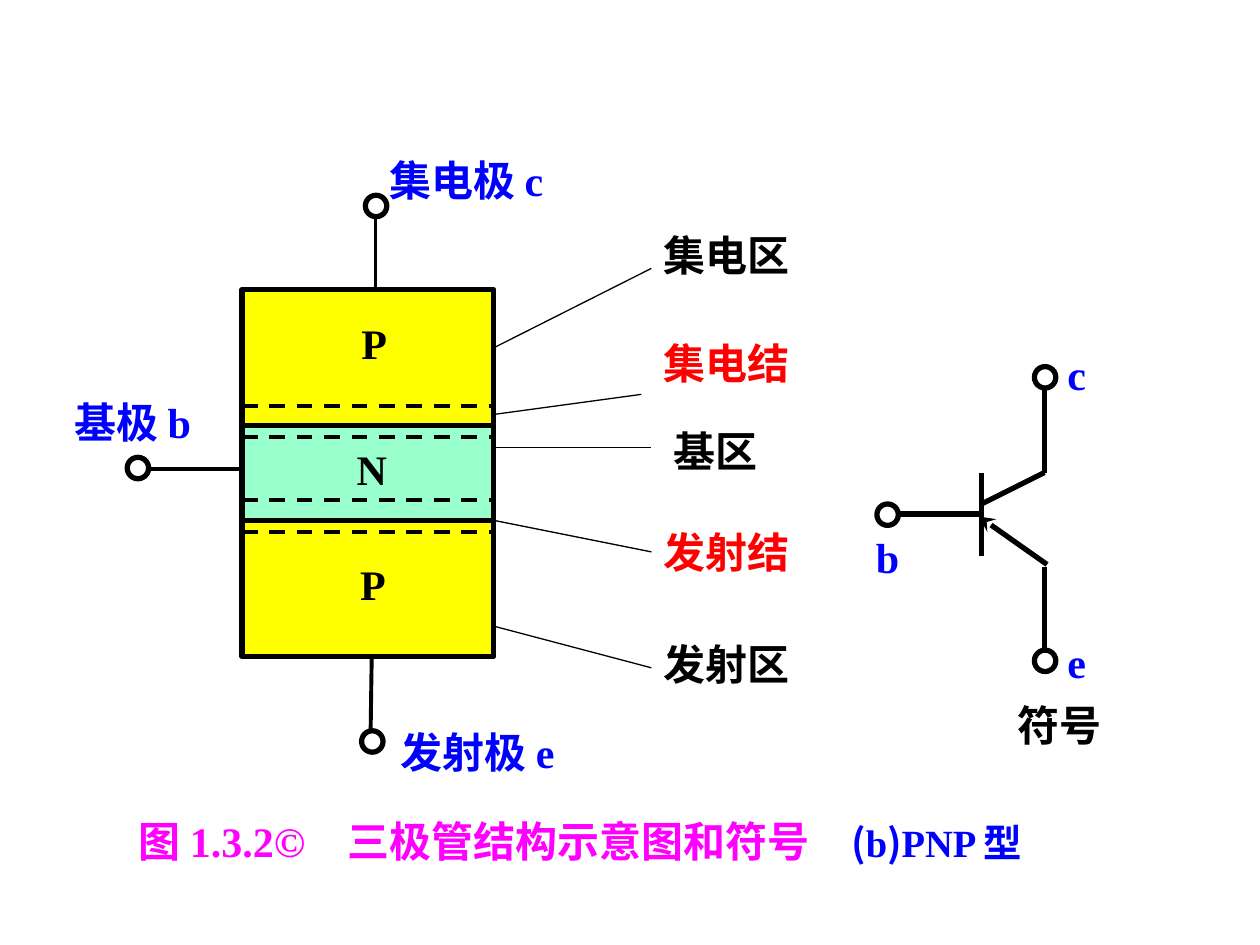
"""Builds a slide with the structure and the symbol of a PNP transistor."""
from lxml import etree
from pptx import Presentation
from pptx.dml.color import RGBColor
from pptx.enum.dml import MSO_LINE
from pptx.enum.shapes import MSO_CONNECTOR, MSO_SHAPE
from pptx.enum.text import MSO_ANCHOR, PP_ALIGN
from pptx.oxml.ns import qn
from pptx.util import Inches, Pt

STRAIGHT = MSO_CONNECTOR.STRAIGHT
DASH = MSO_LINE.DASH
RECTANGLE, OVAL = MSO_SHAPE.RECTANGLE, MSO_SHAPE.OVAL
MIDDLE, TOP = MSO_ANCHOR.MIDDLE, MSO_ANCHOR.TOP
LEFT, CENTER = PP_ALIGN.LEFT, PP_ALIGN.CENTER
SERIF, SANS = "Times New Roman", "Noto Sans CJK SC"
COLORS = {
    "black": "000000", "white": "FFFFFF", "red": "FF0000", "blue": "0000FF",
    "magenta": "FF00FF", "yellow": "FFFF00", "green": "99FFCC",
}

presentation = Presentation()
presentation.slide_width, presentation.slide_height = Inches(10), Inches(7.5)
slide = presentation.slides.add_slide(presentation.slide_layouts[6])


def add_line(start, end, width, dash=None):
    points = [Inches(value) for value in (*start, *end)]
    connector = slide.shapes.add_connector(STRAIGHT, *points)
    connector.line.color.rgb = RGBColor.from_string(COLORS["black"])
    connector.line.width = Pt(width)
    connector.line.dash_style = dash
    etree.SubElement(connector._element.spPr, qn("a:effectLst"))
    return connector


def add_text(box, runs, alignment=LEFT, anchor=MIDDLE, wrap=True):
    shape = slide.shapes.add_textbox(*[Inches(value) for value in box])
    shape.text_frame.word_wrap = wrap
    shape.text_frame.vertical_anchor = anchor
    paragraph = shape.text_frame.paragraphs[0]
    paragraph.alignment = alignment
    for text, color, size, name in runs:
        run = paragraph.add_run()
        run.text = text
        font_format = {"size": Pt(size), "name": name, "bold": True}
        for attribute, value in font_format.items():
            setattr(run.font, attribute, value)
        run.font.color.rgb = RGBColor.from_string(COLORS[color])


leader_lines = [
    ((3.84, 2.8), (5.17, 2.13)),
    ((3.84, 3.3), (5.09, 3.13)),
    ((3.84, 3.55), (5.17, 3.55)),
    ((3.92, 4.13), (5.17, 4.38)),
    ((3.92, 4.97), (5.17, 5.3)),
]
symbol_lines = [
    ((7.79, 3.75), (7.79, 4.41)),
    ((7.79, 4), (8.29, 3.75)),
    ((8.29, 3.75), (8.29, 3)),
    ((8.29, 4.5), (8.29, 5.17)),
    ((7.79, 4.08), (7.12, 4.08)),
]
structure_leads = [
    ((2.95, 5.22), (2.94, 5.92)),
    ((1.92, 3.72), (1.17, 3.72)),
    ((2.98, 2.3), (2.98, 1.63)),
]
for lines, width in [(leader_lines, 0.75), (symbol_lines, 3), (structure_leads, 2.25)]:
    for start, end in lines:
        add_line(start, end, width)

emitter = add_line((8.31, 4.48), (7.77, 4.1), 3)
etree.SubElement(emitter.line._get_or_add_ln(), qn("a:tailEnd"), type="stealth")

terminals = [(6.96, 4), (8.21, 2.91), (8.21, 5.16), (2.9, 1.55), (1.01, 3.63), (2.87, 5.8)]
layers = [(2.3, 1.08, "yellow"), (4.13, 1.08, "yellow"), (3.38, 0.75, "green")]
outlined_shapes = [(OVAL, (x, y, 0.17, 0.17), "white") for x, y in terminals]
outlined_shapes += [(RECTANGLE, (1.92, y, 2, height), fill) for y, height, fill in layers]
for kind, box, fill in outlined_shapes:
    shape = slide.shapes.add_shape(kind, *[Inches(value) for value in box])
    shape.shadow.inherit = False
    shape.fill.solid()
    shape.fill.fore_color.rgb = RGBColor.from_string(COLORS[fill])
    shape.line.color.rgb = RGBColor.from_string(COLORS["black"])
    shape.line.width = Pt(3)

for y in (3.22, 3.47, 3.97, 4.22):
    add_line((1.92, y), (3.92, y), 2.25, DASH)

left_labels = [
    ("集电区", 5.17, 1.77, 2.41, "black"),
    ("集电结", 5.17, 2.63, 2.25, "red"),
    ("基区", 5.25, 3.33, 1.66, "black"),
    ("发射结", 5.17, 4.13, 1.75, "red"),
    ("发射区", 5.17, 5.02, 2.16, "black"),
    ("集电极 c", 2.99, 1.18, 2.09, "blue"),
    ("发射极 e", 3.08, 5.72, 1.75, "blue"),
    ("基极 b", 0.49, 3.1, 1.68, "blue"),
]
for text, x, y, width, color in left_labels:
    add_text((x, y, width, 0.5), [(text, color, 24, SERIF)])

centered_labels = [
    ("c", 8.21, 2.72, 0.67, "blue"),
    ("b", 6.85, 4.17, 0.39, "blue"),
    ("e", 8.37, 5, 0.35, "blue"),
    ("P", 2.77, 2.47, 0.4, "black"),
    ("P", 2.76, 4.38, 0.4, "black"),
    ("N", 2.73, 3.47, 0.44, "black"),
]
for text, x, y, width, color in centered_labels:
    add_text((x, y, width, 0.5), [(text, color, 24, SERIF)], CENTER, wrap=False)

add_text((7.62, 5.5, 1.58, 0.5), [("符号", "black", 24, SERIF)], CENTER, TOP)
caption_runs = [
    ("图 1.3.2©　三极管结构示意图和符号　", "magenta", 24, SERIF),
    ("(", "blue", 22, SANS),
    ("b", "blue", 22, SERIF),
    (")", "blue", 22, SANS),
    ("PNP 型", "blue", 22, SERIF),
]
add_text((1, 6.42, 7.5, 0.5), caption_runs, anchor=TOP)

presentation.save("out.pptx")
